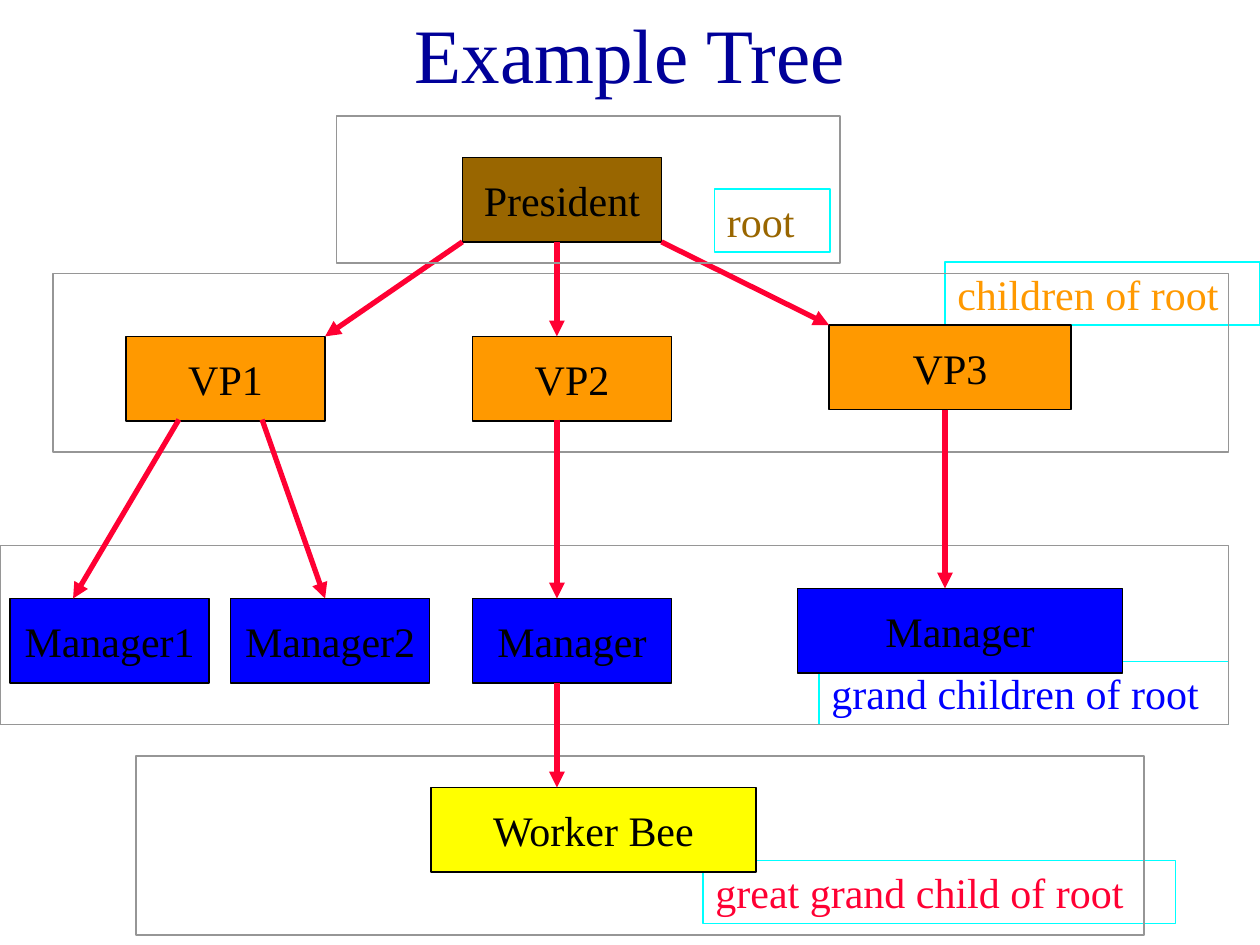
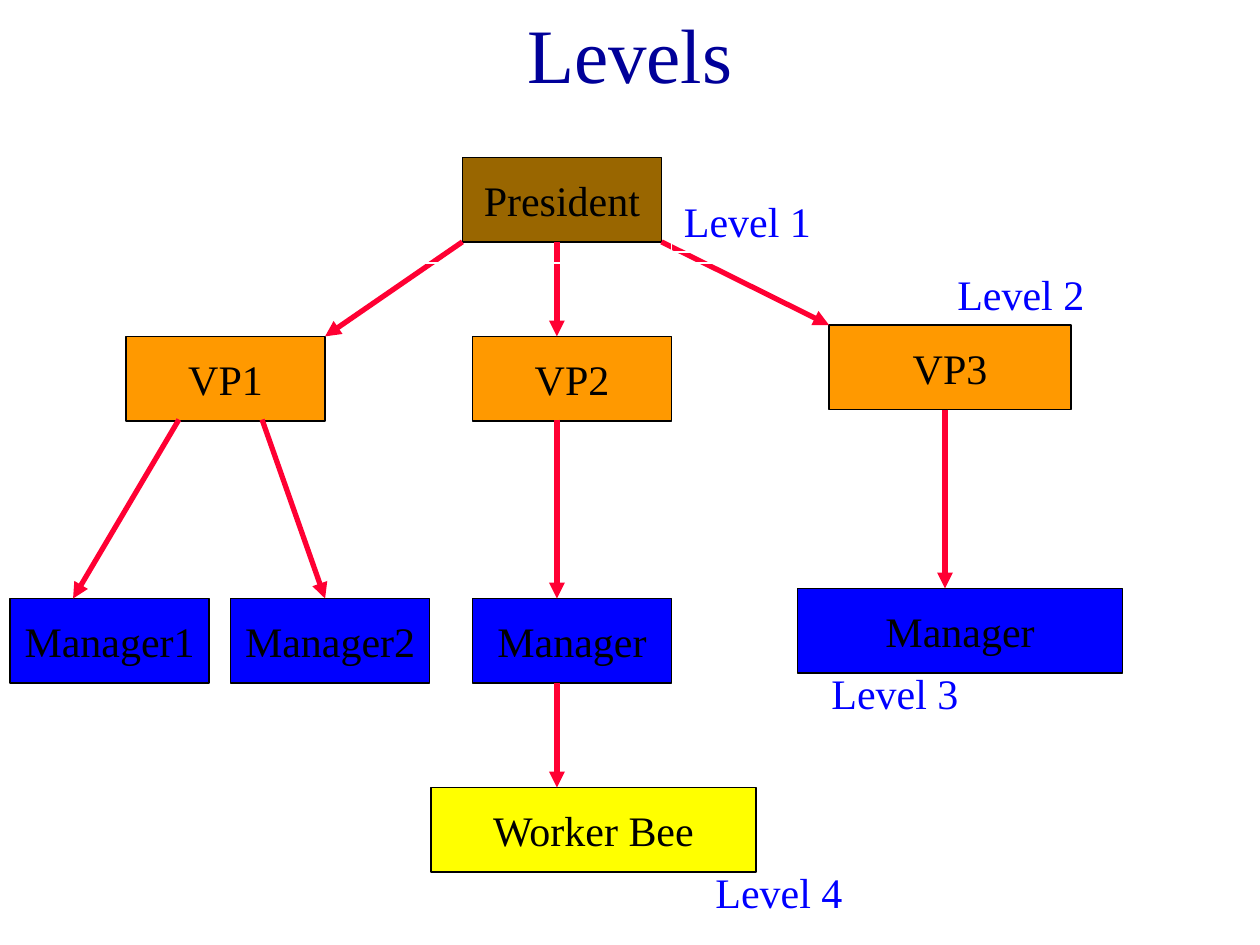
"""Build two slides that show an organisation tree and its levels."""
from dataclasses import dataclass

from lxml import etree
from pptx import Presentation
from pptx.dml.color import RGBColor
from pptx.enum.shapes import MSO_CONNECTOR, MSO_SHAPE
from pptx.enum.text import MSO_ANCHOR, MSO_AUTO_SIZE, PP_ALIGN
from pptx.oxml.ns import qn
from pptx.util import Inches, Pt

RECTANGLE = MSO_SHAPE.RECTANGLE
STRAIGHT = MSO_CONNECTOR.STRAIGHT
TOP, MIDDLE = MSO_ANCHOR.TOP, MSO_ANCHOR.MIDDLE
LEFT, CENTER = PP_ALIGN.LEFT, PP_ALIGN.CENTER
NO_AUTO_SIZE = MSO_AUTO_SIZE.NONE

FONT = "Times New Roman"
COLORS = {
    "title": "000099",
    "black": "000000",
    "white": "FFFFFF",
    "brown": "996600",
    "orange": "FF9900",
    "blue": "0000FF",
    "yellow": "FFFF00",
    "red": "FF0033",
    "cyan": "00FFFF",
    "gray": "969696",
}
NODE_WIDTH, WIDE_NODE_WIDTH, NODE_HEIGHT = 1.58, 2.58, 0.67
LABEL_HEIGHT = 0.5
BAND_HEIGHT = 1.42


@dataclass(frozen=True)
class Box:
    left: float
    top: float
    width: float
    height: float


@dataclass(frozen=True)
class Node:
    text: str
    color: str
    left: float
    top: float
    width: float = NODE_WIDTH


@dataclass(frozen=True)
class Arrow:
    start_x: float
    start_y: float
    end_x: float
    end_y: float


@dataclass(frozen=True)
class Label:
    text: str
    color: str
    left: float
    width: float


@dataclass(frozen=True)
class Level:
    label_top: float
    band: Box


@dataclass(frozen=True)
class TreeSlide:
    title: str
    label_line: str
    band_line: str
    labels: tuple[Label, ...]


NODES = (
    Node("President", "brown", 3.67, 1.25),
    Node("VP1", "orange", 1, 2.67),
    Node("VP2", "orange", 3.75, 2.67),
    Node("VP3", "orange", 6.58, 2.58, 1.92),
    Node("Manager1", "blue", 0.08, 4.75),
    Node("Manager2", "blue", 1.83, 4.75),
    Node("Manager", "blue", 3.75, 4.75),
    Node("Manager", "blue", 6.33, 4.67, WIDE_NODE_WIDTH),
    Node("Worker Bee", "yellow", 3.42, 6.25, WIDE_NODE_WIDTH),
)
ARROWS = (
    Arrow(4.42, 1.92, 4.42, 2.67),
    Arrow(3.67, 1.92, 2.58, 2.67),
    Arrow(5.25, 1.92, 6.58, 2.58),
    Arrow(1.42, 3.33, 0.58, 4.75),
    Arrow(2.08, 3.33, 2.58, 4.75),
    Arrow(4.42, 3.33, 4.42, 4.75),
    Arrow(7.5, 3.25, 7.5, 4.67),
    Arrow(4.42, 5.42, 4.42, 6.25),
)
LEVELS = (
    Level(1.5, Box(2.67, 0.92, 4, 1.17)),
    Level(2.08, Box(0.42, 2.17, 9.33, BAND_HEIGHT)),
    Level(5.25, Box(0, 4.33, 9.75, BAND_HEIGHT)),
    Level(6.83, Box(1.08, 6, 8, BAND_HEIGHT)),
)
TREE_SLIDES = (
    TreeSlide("Example Tree", "cyan", "gray", (
        Label("root", "brown", 5.67, 0.92),
        Label("children of root", "orange", 7.5, 2.5),
        Label("grand children of root", "blue", 6.5, 3.25),
        Label("great grand child of root", "red", 5.58, 3.75),
    )),
    TreeSlide("Levels", "white", "white", (
        Label("Level 1", "blue", 5.33, 1.25),
        Label("Level 2", "blue", 7.5, 2.5),
        Label("Level 3", "blue", 6.5, 3.25),
        Label("Level 4", "blue", 5.58, 3.75),
    )),
)


def rgb(name: str) -> RGBColor:
    return RGBColor.from_string(COLORS[name])


def write_text(shape, text: str, color: str, size: int = 24, align=CENTER,
               anchor=MIDDLE, wrap: bool = True) -> None:
    text_frame = shape.text_frame
    text_frame.text = text
    text_frame.word_wrap = wrap
    text_frame.auto_size = NO_AUTO_SIZE
    text_frame.vertical_anchor = anchor
    paragraph = text_frame.paragraphs[0]
    paragraph.alignment = align
    font = paragraph.runs[0].font
    font.name = FONT
    font.size = Pt(size)
    font.color.rgb = rgb(color)


def add_rectangle(slide, box: Box, line: str, fill: str | None = None):
    shape = slide.shapes.add_shape(
        RECTANGLE, Inches(box.left), Inches(box.top), Inches(box.width), Inches(box.height))
    shape.shadow.inherit = False
    shape.line.color.rgb = rgb(line)
    shape.line.width = Pt(1)
    if fill:
        shape.fill.solid()
        shape.fill.fore_color.rgb = rgb(fill)
    else:
        shape.fill.background()
    return shape


def add_title(slide, title: str) -> None:
    shape = slide.shapes.add_textbox(Inches(0), Inches(0), Inches(10), Inches(0.83))
    write_text(shape, title, "title", size=44)


def add_node(slide, node: Node) -> None:
    box = Box(node.left, node.top, node.width, NODE_HEIGHT)
    shape = add_rectangle(slide, box, "black", node.color)
    write_text(shape, node.text, "black", wrap=False)


def add_arrow(slide, arrow: Arrow) -> None:
    connector = slide.shapes.add_connector(
        STRAIGHT, Inches(arrow.start_x), Inches(arrow.start_y),
        Inches(arrow.end_x), Inches(arrow.end_y))
    connector.line.color.rgb = rgb("red")
    connector.line.width = Pt(3)
    properties = connector.line._get_or_add_ln()
    etree.SubElement(properties, qn("a:tailEnd"), type="triangle")
    etree.SubElement(connector._element.spPr, qn("a:effectLst"))


def add_level(slide, level: Level, label: Label, tree_slide: TreeSlide) -> None:
    label_box = Box(label.left, level.label_top, label.width, LABEL_HEIGHT)
    shape = add_rectangle(slide, label_box, tree_slide.label_line)
    write_text(shape, label.text, label.color, align=LEFT, anchor=TOP)
    add_rectangle(slide, level.band, tree_slide.band_line)


def add_tree_slide(presentation, tree_slide: TreeSlide) -> None:
    slide = presentation.slides.add_slide(presentation.slide_layouts[6])
    root, *lower_levels = zip(LEVELS, tree_slide.labels)
    for level, label in reversed(lower_levels):
        add_level(slide, level, label, tree_slide)
    add_title(slide, tree_slide.title)
    for node in NODES:
        add_node(slide, node)
    for arrow in ARROWS:
        add_arrow(slide, arrow)
    add_level(slide, *root, tree_slide)


def main() -> None:
    presentation = Presentation()
    presentation.slide_width = Inches(10)
    presentation.slide_height = Inches(7.5)
    for tree_slide in TREE_SLIDES:
        add_tree_slide(presentation, tree_slide)
    presentation.save("out.pptx")


if __name__ == "__main__":
    main()
